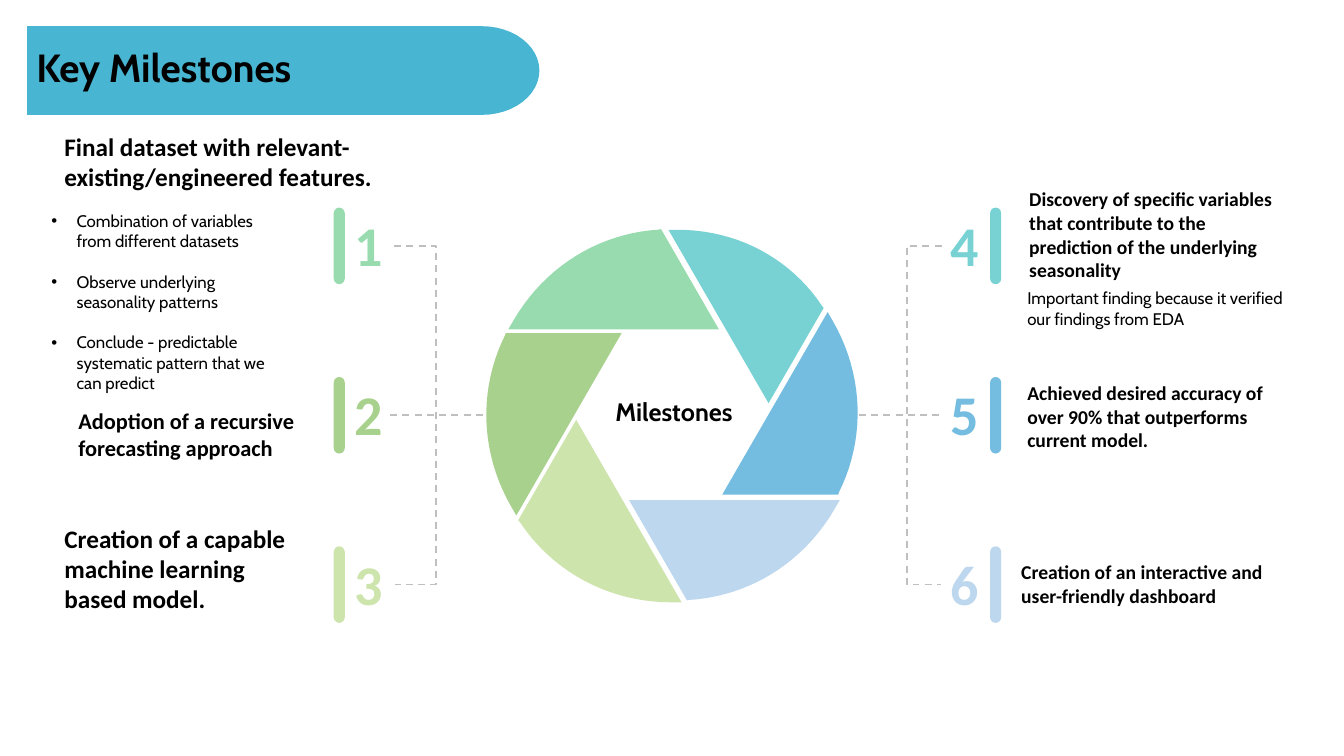
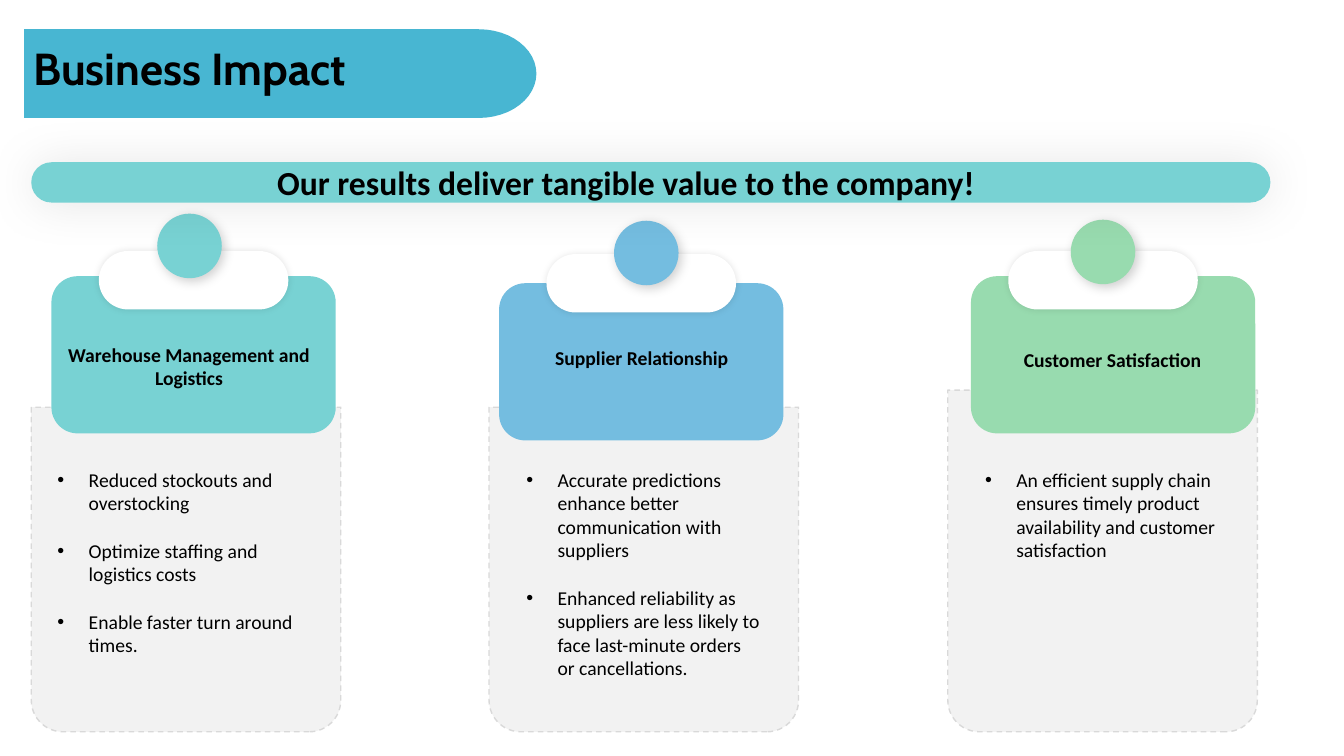
import math

from lxml import etree
from pptx import Presentation
from pptx import util as u
from pptx.dml.color import RGBColor
from pptx.enum import dml, shapes, text
from pptx.oxml import ns

COLORS = {
    "banner": "48B6D2", "ink": "000000", "white": "FFFFFF",
    "mint": "98DBAF", "leaf": "A9D18E", "lime": "CDE4AC",
    "teal": "78D2D3", "blue": "74BDE0", "ice": "BDD7EE",
    "sheet": "F2F2F2", "edge": "D9D9D9", "link": "BFBFBF",
}
SLIDE_W, SLIDE_H = 13.33, 7.5
ROW_TOP, ROW_STEP = 2.06, 1.68
LEFT_COLUMN = ["mint", "leaf", "lime"]
RIGHT_COLUMN = ["teal", "blue", "ice"]
BODY_FONT, ACCENT_FONT = "Calibri", "Cabin"
DEFAULT_INSETS = (0.1, 0.05, 0.1, 0.05)
NO_INSETS = (0, 0, 0, 0)
PRESET = shapes.MSO_SHAPE
CENTER = text.PP_ALIGN.CENTER


def rgb(name):
    return RGBColor.from_string(COLORS[name])


def inches(*lengths):
    return [u.Inches(length) for length in lengths]


def add_bullet(paragraph, indent):
    props = paragraph._p.get_or_add_pPr()
    props.set("marL", str(u.Inches(indent)))
    props.set("indent", str(-u.Inches(indent)))
    etree.SubElement(props, ns.qn("a:buFont")).set("typeface", "Arial")
    etree.SubElement(props, ns.qn("a:buChar")).set("char", "•")


def write(holder, *lines, size=14, font=BODY_FONT, bold=False, color="ink",
          align=text.PP_ALIGN.LEFT, anchor=text.MSO_ANCHOR.TOP,
          insets=DEFAULT_INSETS, wrap=True, bullet=None, gap=0):
    """Fill a shape with one paragraph per line; bullet is the hanging indent."""
    frame = holder.text_frame
    frame.auto_size = text.MSO_AUTO_SIZE.NONE
    frame.word_wrap = wrap
    frame.vertical_anchor = anchor
    (frame.margin_left, frame.margin_top,
     frame.margin_right, frame.margin_bottom) = inches(*insets)
    for number, line in enumerate(lines):
        paragraph = frame.add_paragraph() if number else frame.paragraphs[0]
        if bullet:
            add_bullet(paragraph, bullet)
        paragraph.alignment = align
        paragraph.space_before = u.Pt(gap if number else 0)
        run = paragraph.add_run()
        run.text = line
        run.font.size, run.font.name, run.font.bold = u.Pt(size), font, bold
        run.font.color.rgb = rgb(color)


def label(slide, box, line, **style):
    write(slide.shapes.add_textbox(*inches(*box)), line, **style)


def fill_placeholder(slide, index, box, *lines, **style):
    """Move a placeholder to box, in front of what is drawn so far."""
    holder = next(p for p in slide.placeholders
                  if p.placeholder_format.idx == index)
    holder.left, holder.top, holder.width, holder.height = inches(*box)
    slide.shapes._spTree.append(holder._element)
    write(holder, *lines, **style)


def paint(shape, color):
    shape.shadow.inherit = False
    shape.fill.solid()
    shape.fill.fore_color.rgb = rgb(color)
    shape.line.fill.background()
    return shape


def add_preset(slide, kind, box, color, corners=()):
    shape = paint(slide.shapes.add_shape(kind, *inches(*box)), color)
    for number, corner in enumerate(corners):
        shape.adjustments[number] = corner
    return shape


def add_outline(slide, points, color):
    points = [inches(*point) for point in points]
    builder = slide.shapes.build_freeform(*points[0])
    builder.add_line_segments(points[1:], close=True)
    return paint(builder.convert_to_shape(), color)


def dash_line(line, color, width):
    line.color.rgb = rgb(color)
    line.width = u.Pt(width)
    line.dash_style = dml.MSO_LINE.DASH


def cast_shadow(shape, opacity, blur, distance=0, angle=0):
    effects = shape._element.spPr.find(ns.qn("a:effectLst"))
    shadow = etree.SubElement(
        effects, ns.qn("a:outerShdw"), blurRad=str(u.Pt(blur)),
        dist=str(u.Pt(distance)), dir=str(angle * 60000),
        algn="ctr", rotWithShape="0")
    tint = etree.SubElement(shadow, ns.qn("a:srgbClr"), val=COLORS["ink"])
    etree.SubElement(tint, ns.qn("a:alpha"), val=str(opacity * 1000))


def add_link(slide, start, end, bend_x=None):
    """Dashed connector; with bend_x it turns twice at that abscissa."""
    kind = shapes.MSO_CONNECTOR.STRAIGHT if bend_x is None \
        else shapes.MSO_CONNECTOR.ELBOW
    link = slide.shapes.add_connector(kind, *inches(*start, *end))
    dash_line(link.line, "link", 1.25)
    props = link._element.spPr
    etree.SubElement(props, ns.qn("a:effectLst"))
    if bend_x is not None:
        share = (bend_x - start[0]) / (end[0] - start[0])
        geometry = props.find(ns.qn("a:prstGeom"))
        guides = geometry.find(ns.qn("a:avLst"))
        if guides is None:
            guides = etree.SubElement(geometry, ns.qn("a:avLst"))
        etree.SubElement(guides, ns.qn("a:gd"), name="adj1",
                         fmla=f"val {round(share * 100000)}")


def add_title(slide, title, left, top, title_top, size):
    """Banner with a half-elliptic right end, and the title on it."""
    straight, end_width, half = 4.51, 0.57, 0.44
    turns = [math.pi * (step / 24 - 0.5) for step in range(25)]
    end = [(left + straight + end_width * math.cos(turn),
            top + half + half * math.sin(turn)) for turn in turns]
    add_outline(slide, [(left, top), *end, (left, top + 2 * half)], "banner")
    fill_placeholder(slide, 0, (left, title_top, 3.82, 0.72), title,
                     size=size, font=ACCENT_FONT, bold=True,
                     insets=(0.09, 0.01, 0, 0))


def add_blade(slide, center, size, angle, color):
    start, pull_out, pull_in, end = (0.06, 0), (0.45, 0), (0.79, 0.17), (0.99, 0.44)
    rim = []
    for step in range(21):
        t = step / 20
        weights = ((1 - t) ** 3, 3 * t * (1 - t) ** 2, 3 * t * t * (1 - t), t ** 3)
        rim.append([sum(w * p[axis] for w, p in
                        zip(weights, (start, pull_out, pull_in, end)))
                    for axis in (0, 1)])
    corners = [(0, 0), *rim, (1, 0.45), (0.645, 1)]
    points = [[c + (share - 0.5) * length
               for c, share, length in zip(center, corner, size)]
              for corner in corners]
    add_outline(slide, points, color).rotation = angle


def add_wheel(slide):
    centers = [(7.4, 3.14), (7.83, 4.25), (7.14, 5.21),
               (5.95, 5.07), (5.5, 3.96), (6.23, 3.02)]
    clockwise = RIGHT_COLUMN + LEFT_COLUMN[::-1]
    for number, (center, color) in enumerate(zip(centers, clockwise)):
        size = (1.62, 1.81) if number else (1.54, 1.72)
        add_blade(slide, center, size, 60 * number, color)
    label(slide, (5.92, 3.93, 1.53, 0.37), "Milestones", size=18,
          font=ACCENT_FONT, bold=True, align=CENTER, insets=NO_INSETS)


def add_numbers(slide, colors, first, bar_left, number_left):
    for row, color in enumerate(colors):
        top = ROW_TOP + row * ROW_STEP
        add_preset(slide, PRESET.ROUNDED_RECTANGLE,
                   (bar_left, top, 0.11, 0.76), color, [0.5])
        label(slide, (number_left, top - 0.02, 0.49, 0.77), str(first + row),
              size=40, bold=True, color=color, wrap=False)


def build_milestones(deck):
    slide = deck.slides.add_slide(deck.slide_layouts.get_by_name("Title and Content"))
    add_wheel(slide)
    add_numbers(slide, LEFT_COLUMN, 1, 3.31, 3.42)
    add_numbers(slide, RIGHT_COLUMN, 4, 9.82, 9.33)
    fill_placeholder(
        slide, 1, (0.41, 2.04, 2.54, 1.92),
        "Combination of variables from different datasets",
        "Observe underlying seasonality patterns",
        "Conclude - predictable systematic pattern that we can predict",
        size=12, font=ACCENT_FONT, bullet=0.25, gap=14.6)
    headings = [
        ((0.54, 1.25, 3.6, 0.71), 18,
         "Final dataset with relevant-existing/engineered features."),
        ((0.68, 3.99, 2.61, 0.64), 16,
         "Adoption of a recursive forecasting approach"),
        ((0.54, 5.14, 2.61, 1.01), 18,
         "Creation of a capable machine learning based model."),
        ((10.11, 1.81, 2.76, 1.04), 14,
         "Discovery of specific variables that contribute to the "
         "prediction of the underlying seasonality"),
        ((10.09, 3.73, 2.61, 0.81), 14,
         "Achieved desired accuracy of over 90% that outperforms current model."),
        ((10.03, 5.51, 2.61, 0.57), 14,
         "Creation of an interactive and user-friendly dashboard"),
    ]
    for box, size, heading in headings:
        label(slide, box, heading, size=size, bold=True)
    label(slide, (10.09, 2.81, 2.82, 0.5),
          "Important finding because it verified our findings from EDA",
          size=12, font=ACCENT_FONT)
    first, middle, last = (ROW_TOP + 0.38 + row * ROW_STEP for row in range(3))
    add_link(slide, (3.91, first), (3.92, last), bend_x=4.33)
    add_link(slide, (9.34, first), (9.33, last), bend_x=8.99)
    add_link(slide, (3.87, middle), (4.82, middle))
    add_link(slide, (8.52, middle), (9.34, middle))
    add_title(slide, "Key Milestones", 0.27, 0.26, 0.42, 28)


def add_clipboard(slide, color, sheet, card, clip, dot):
    """Dashed sheet under a coloured card with a clip; each part is (left, top)."""
    bottom = 7.26
    paper = add_preset(slide, PRESET.ROUND_2_SAME_RECTANGLE,
                       (*sheet, 3.07, bottom - sheet[1]), "sheet", [0.102, 0])
    paper.rotation = 180
    dash_line(paper.line, "edge", 1)
    add_preset(slide, PRESET.ROUNDED_RECTANGLE, (*card, 2.82, 1.56), color)
    cast_shadow(add_preset(slide, PRESET.ROUNDED_RECTANGLE,
                           (*clip, 1.88, 0.58), "white", [0.5]), 10, 5)
    cast_shadow(add_preset(slide, PRESET.OVAL, (*dot, 0.64, 0.64), color),
                18, 8, 3, 45)


def build_impact(deck):
    slide = deck.slides.add_slide(deck.slide_layouts.get_by_name("Comparison"))
    clipboards = [
        ("teal", (0.31, 4.04), (0.51, 2.74), (0.98, 2.49), (1.56, 2.12)),
        ("blue", (4.85, 4.04), (4.95, 2.81), (5.42, 2.52), (6.09, 2.19)),
        ("mint", (9.4, 3.87), (9.63, 2.74), (10, 2.49), (10.62, 2.18)),
    ]
    benefits = [
        ("Warehouse Management and Logistics", (0.66, 3.4), (0.57, 2.65),
         ["Reduced stockouts and overstocking",
          "Optimize staffing and logistics costs",
          "Enable faster turn around times."]),
        ("Supplier Relationship", (5.15, 3.43), (5.22, 2.33),
         ["Accurate predictions enhance better communication with suppliers",
          "Enhanced reliability as suppliers are less likely to face "
          "last-minute orders or cancellations."]),
        ("Customer Satisfaction", (9.82, 3.45), (9.77, 2.33),
         ["An efficient supply chain ensures timely product availability "
          "and customer satisfaction"]),
    ]
    for clipboard in clipboards:
        add_clipboard(slide, *clipboard)
    for index, (heading, place, (left, width), points) in enumerate(benefits, 1):
        label(slide, (*place, 2.43, 0.65), heading, bold=True,
              align=CENTER, insets=NO_INSETS)
        fill_placeholder(slide, index, (left, 4.64, width, 2.27), *points,
                         insets=NO_INSETS, bullet=0.31, gap=17)
    unused = slide.placeholders[4]._element
    unused.getparent().remove(unused)

    message = add_preset(slide, PRESET.ROUNDED_RECTANGLE,
                         (0.31, 1.61, 12.29, 0.4), "teal", [0.5])
    cast_shadow(message, 10, 35)
    write(message, "Our results deliver tangible value to the company!",
          size=24, bold=True, align=CENTER, anchor=text.MSO_ANCHOR.MIDDLE,
          insets=(0.1, 0.05, 0.59, 0.05))
    add_title(slide, "Business Impact", 0.24, 0.29, 0.39, 32)


def main():
    deck = Presentation()
    deck.slide_width, deck.slide_height = inches(SLIDE_W, SLIDE_H)
    build_milestones(deck)
    build_impact(deck)
    deck.save("out.pptx")


if __name__ == "__main__":
    main()
